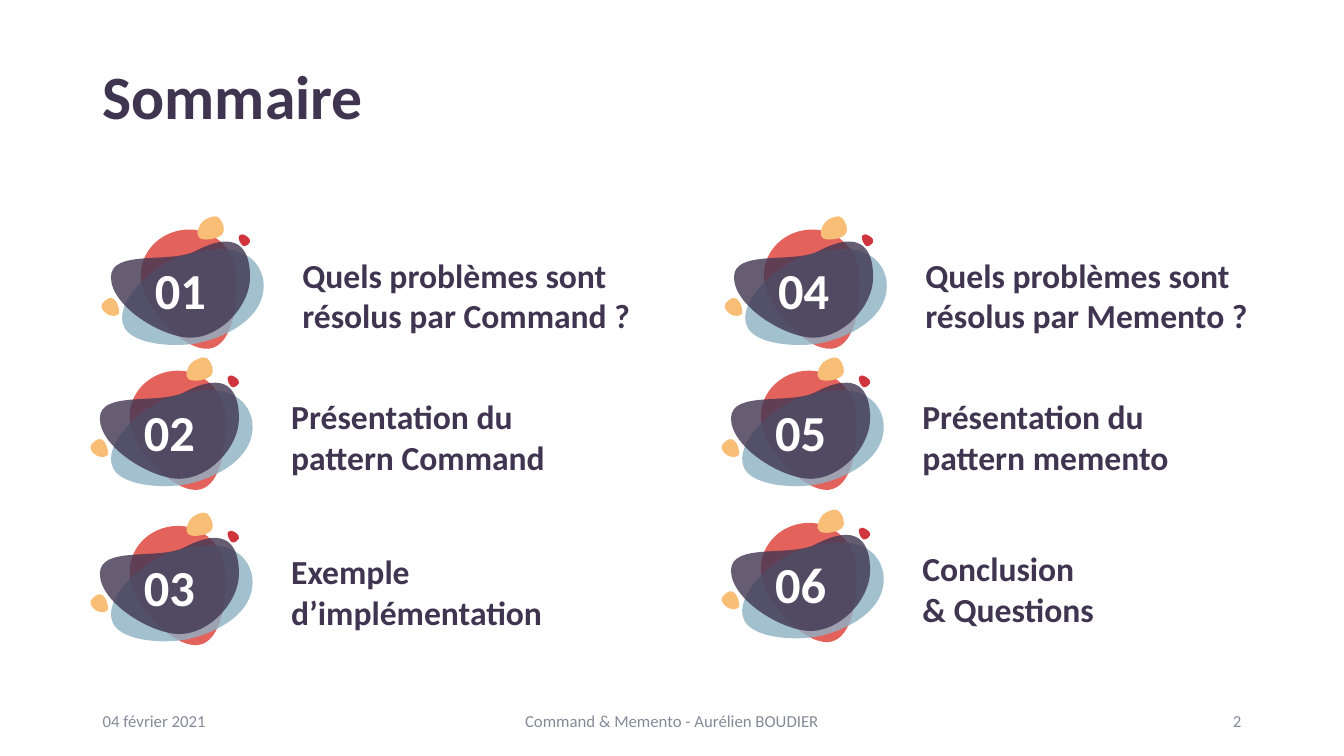
from lxml import etree
from pptx import Presentation, util as u
from pptx.dml.color import RGBColor
from pptx.enum import text as t

WIDTH, HEIGHT = 13.33, 7.5
MARGIN = 0.92
INK, GREY, WHITE = "403551", "848B98", "FFFFFF"
UNIT = u.Inches(0.01)

# Badge parts in hundredths of an inch: colour, opacity, bounds, start point, cubic curves
BLOBS = [
    ("E4625C", 100, (38, 14, 95, 118), (39, 64),
     [(41, 90, 80, 134, 106, 132), (132, 129, 135, 80, 133, 55),
      (130, 30, 107, 11, 81, 14), (55, 17, 36, 39, 39, 64)]),
    ("8DB1C4", 80, (20, 33, 141, 96), (22, 110),
     [(29, 126, 64, 131, 92, 127), (121, 122, 166, 101, 160, 63),
      (157, 48, 142, 21, 83, 39), (50, 48, 11, 87, 22, 110)]),
    (INK, 80, (9, 26, 138, 95), (9, 61),
     [(9, 90, 60, 121, 88, 121), (117, 121, 147, 90, 147, 61),
      (147, 33, 135, 13, 93, 35), (68, 48, 9, 33, 9, 61)]),
    ("F9BE75", 100, (95, 0, 26, 23), (97, 22),
     [(100, 25, 113, 24, 119, 19), (124, 13, 119, 5, 116, 2),
      (113, -1, 106, 1, 100, 6), (95, 12, 93, 19, 97, 22)]),
    ("F9BE75", 100, (0, 81, 17, 18), (17, 97),
     [(18, 94, 16, 85, 11, 82), (7, 80, 2, 85, 0, 88),
      (-1, 91, 1, 95, 6, 98), (10, 100, 15, 100, 17, 97)]),
    ("D0343C", 100, (135, 19, 12, 11), (136, 20),
     [(135, 22, 137, 28, 140, 30), (143, 31, 146, 28, 147, 26),
      (148, 24, 146, 22, 143, 20), (140, 18, 137, 18, 136, 20)]),
]

# Badge left, badge top, label width, label
TOPICS = [
    (1.01, 2.14, 3.51, "Quels problèmes sont résolus par Command ?"),
    (0.90, 3.54, 3.26, "Présentation du pattern Command"),
    (0.90, 5.08, 3.26, "Exemple d’implémentation"),
    (7.19, 2.14, 3.51, "Quels problèmes sont résolus par Memento ?"),
    (7.16, 3.54, 3.26, "Présentation du pattern memento"),
    (7.16, 5.05, 3.26, "Conclusion\v& Questions"),
]


def paint(target, colour):
    target.fill.solid()
    target.fill.fore_color.rgb = RGBColor.from_string(colour)


def write(box, words, size=24, colour=INK, bold=True, align=t.PP_ALIGN.LEFT,
          anchor=t.MSO_ANCHOR.MIDDLE, insets=(0.1, 0.05, 0.1, 0.05), spacing=1.0):
    frame = box.text_frame
    frame.word_wrap = True
    frame.vertical_anchor = anchor
    (frame.margin_left, frame.margin_top,
     frame.margin_right, frame.margin_bottom) = map(u.Inches, insets)
    para = frame.paragraphs[0]
    para.text = words
    para.alignment = align
    para.line_spacing = spacing
    for span in para.runs:
        span.font.name = "Calibri"
        span.font.size = u.Pt(size)
        span.font.bold = bold
        paint(span.font, colour)


deck = Presentation()
deck.slide_width, deck.slide_height = u.Inches(WIDTH), u.Inches(HEIGHT)
page = deck.slides.add_slide(deck.slide_layouts[6])

# Title
title = page.shapes.add_textbox(*map(u.Inches, (MARGIN, 0.37, WIDTH - 2 * MARGIN, 1.24)))
write(title, "Sommaire", size=44, spacing=0.9)

# Numbered topics
for number, (left, top, label_width, label) in enumerate(TOPICS, 1):
    blobs = []
    for colour, opacity, (x, y, w, h), start, curves in BLOBS:
        builder = page.shapes.build_freeform(x, y, scale=UNIT)
        builder.add_line_segments([(x + w, y + h)], close=True)
        blob = builder.convert_to_shape(u.Inches(left), u.Inches(top))

        # Curved outline inside the bounds
        outline = blob.element.spPr.find(".//{*}pathLst")[0]
        prefix = outline.tag[:outline.tag.index("}") + 1]
        for segment in list(outline):
            outline.remove(segment)
        for command, coords in [("moveTo", start)] + [("cubicBezTo", c) for c in curves]:
            segment = etree.SubElement(outline, prefix + command)
            for px, py in zip(coords[::2], coords[1::2]):
                etree.SubElement(segment, prefix + "pt", x=str(px - x), y=str(py - y))
        etree.SubElement(outline, prefix + "close")

        blob.shadow.inherit = False
        blob.line.fill.background()
        paint(blob, colour)
        if opacity < 100:
            tint = blob.element.spPr.find(".//{*}solidFill/{*}srgbClr")
            etree.SubElement(tint, prefix + "alpha", val=str(opacity * 1000))
        if colour == INK:
            write(blob, f"{number:02}", size=36, colour=WHITE,
                  align=t.PP_ALIGN.CENTER, insets=[0.04] * 4)
        blobs.append(blob)
    page.shapes.add_group_shape(blobs)

    caption = page.shapes.add_textbox(
        *map(u.Inches, (left + 1.89, top + 0.18, label_width, 1.01)))
    write(caption, label, anchor=t.MSO_ANCHOR.BOTTOM, insets=(0.1, 0.2, 0.1, 0))
    caption.text_frame.auto_size = t.MSO_AUTO_SIZE.SHAPE_TO_FIT_TEXT

# Footer
for left, width, words, align in [
    (MARGIN, 3, "04 février 2021", t.PP_ALIGN.LEFT),
    ((WIDTH - 4.5) / 2, 4.5, "Command & Memento - Aurélien BOUDIER", t.PP_ALIGN.CENTER),
    (WIDTH - MARGIN - 3, 3, "2", t.PP_ALIGN.RIGHT),
]:
    footer = page.shapes.add_textbox(*map(u.Inches, (left, 6.95, width, 0.4)))
    write(footer, words, size=12, colour=GREY, bold=False, align=align)

deck.save("out.pptx")
